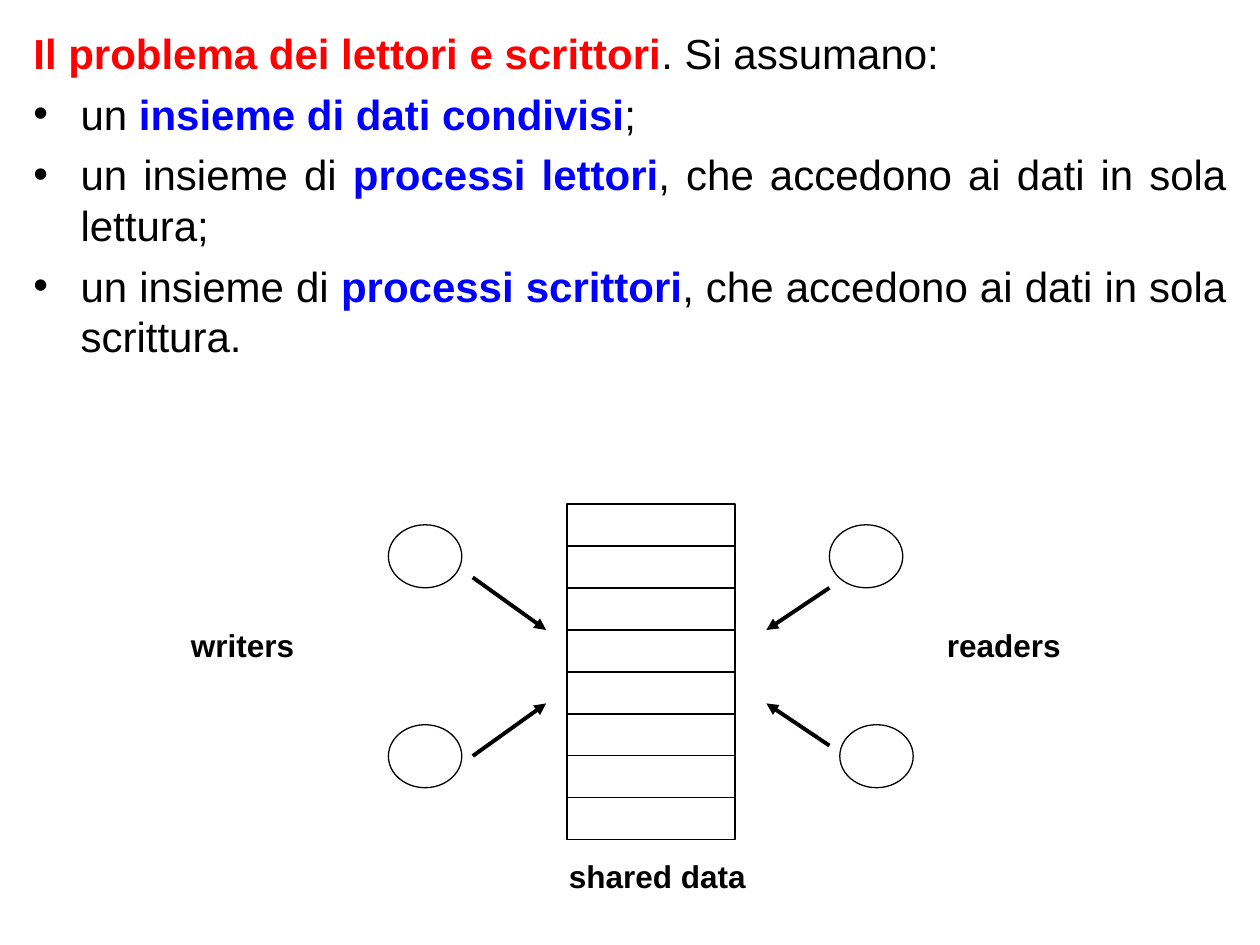
"""Builds the readers and writers problem slide."""
import pptx
import pptx.dml.color
import pptx.enum.shapes
import pptx.enum.text
import pptx.oxml.ns
import pptx.util
from lxml import etree

THEME = {
    "font": "Arial", "body_size": 24, "label_size": 18,
    "text": "000000", "title": "FF0000", "key": "0000FF",
    "fill": "FFFFFF", "line": "000000", "thin": 0.75, "thick": 2.25,
}

SLIDE_SIZE = (25.4, 19.05)
BODY_BOX = (0.42, 0.42, 24.56, 8.26)
BODY_INDENT = 0.95
HEADING = [("Il problema dei lettori e scrittori", "title"), (". Si assumano:", "text")]
ASSUMPTIONS = [
    [("un ", "text"), ("insieme di dati condivisi", "key"), (";", "text")],
    [("un insieme di ", "text"), ("processi lettori", "key"),
     (", che accedono ai dati in sola lettura;", "text")],
    [("un insieme di ", "text"), ("processi scrittori", "key"),
     (", che accedono ai dati in sola scrittura.", "text")],
]

SHARED_DATA = (11.43, 10.16, 3.39, 6.77)
SHARED_DATA_ROWS = 8
PROCESS_SIZE = (1.48, 1.27)
PROCESSES = [(7.83, 10.58), (7.83, 14.61), (16.93, 14.61), (16.72, 10.58)]
ACCESSES = [
    (9.53, 15.24, 11.01, 14.18), (9.53, 11.64, 11.01, 12.7),
    (16.72, 11.85, 15.45, 12.7), (16.72, 15.03, 15.45, 14.18),
]
LABELS = [
    ("readers", (18.84, 12.49, 2.9, 1.02)),
    ("writers", (3.6, 12.49, 2.7, 1.02)),
    ("shared data", (11.22, 17.15, 4.2, 1.02)),
]


def color(name):
    """Return a theme colour."""
    return pptx.dml.color.RGBColor.from_string(THEME[name])


def centimetres(values):
    """Return the values as lengths."""
    return [pptx.util.Cm(value) for value in values]


def add_element(parent, tag, **attributes):
    """Append a drawing element to its parent."""
    return etree.SubElement(parent, pptx.oxml.ns.qn(tag), attributes)


def add_text(paragraph, text, size="body_size", ink="text", bold=False):
    """Add a formatted run to a paragraph."""
    run = paragraph.add_run()
    run.text = text
    run.font.name = THEME["font"]
    run.font.size = pptx.util.Pt(THEME[size])
    run.font.bold = bold
    run.font.color.rgb = color(ink)


def set_bullet(paragraph, bullet):
    """Give a paragraph its hanging indent and its bullet, if any."""
    properties = paragraph._p.get_or_add_pPr()
    indent = pptx.util.Cm(BODY_INDENT)
    properties.set("marL", str(indent))
    properties.set("indent", str(-indent))
    if not bullet:
        add_element(properties, "a:buNone")
        return
    bullet_color = add_element(properties, "a:buClr")
    add_element(bullet_color, "a:srgbClr", val=THEME["text"])
    add_element(properties, "a:buFont", typeface=THEME["font"])
    add_element(properties, "a:buChar", char=bullet)


def fill_body(body):
    """Place the body and write the heading and the assumptions."""
    body.left, body.top, body.width, body.height = centimetres(BODY_BOX)
    frame = body.text_frame
    frame.auto_size = pptx.enum.text.MSO_AUTO_SIZE.NONE
    frame.vertical_anchor = pptx.enum.text.MSO_ANCHOR.TOP
    for index, parts in enumerate([HEADING] + ASSUMPTIONS):
        paragraph = frame.add_paragraph() if index else frame.paragraphs[0]
        paragraph.alignment = pptx.enum.text.PP_ALIGN.JUSTIFY
        paragraph.space_before = pptx.util.Pt(6)
        set_bullet(paragraph, "•" if index else None)
        for text, ink in parts:
            add_text(paragraph, text, ink=ink, bold=ink != "text")


def add_outline(slide, kind, box):
    """Add a white shape with a thin outline."""
    shape = slide.shapes.add_shape(kind, *centimetres(box))
    shape.shadow.inherit = False
    shape.fill.solid()
    shape.fill.fore_color.rgb = color("fill")
    shape.line.color.rgb = color("line")
    shape.line.width = pptx.util.Pt(THEME["thin"])


def add_line(slide, ends, weight="thin", arrow=False):
    """Add a straight line, with an arrowhead at its end if asked."""
    straight = pptx.enum.shapes.MSO_CONNECTOR.STRAIGHT
    connector = slide.shapes.add_connector(straight, *centimetres(ends))
    connector.line.color.rgb = color("line")
    connector.line.width = pptx.util.Pt(THEME[weight])
    if arrow:
        add_element(connector.line._get_or_add_ln(), "a:tailEnd", type="triangle")
    add_element(connector._element.spPr, "a:effectLst")


def add_label(slide, text, box):
    """Add a bold label on one line."""
    frame = slide.shapes.add_textbox(*centimetres(box)).text_frame
    frame.word_wrap = False
    frame.auto_size = pptx.enum.text.MSO_AUTO_SIZE.NONE
    add_text(frame.paragraphs[0], text, size="label_size", bold=True)


def main():
    """Build and save the presentation."""
    presentation = pptx.Presentation()
    presentation.slide_width, presentation.slide_height = centimetres(SLIDE_SIZE)
    slide = presentation.slides.add_slide(presentation.slide_layouts[1])
    title = slide.shapes.title._element
    title.getparent().remove(title)
    fill_body(slide.placeholders[1])

    shapes = pptx.enum.shapes.MSO_SHAPE
    add_outline(slide, shapes.RECTANGLE, SHARED_DATA)
    left, top, width, height = SHARED_DATA
    for row in range(1, SHARED_DATA_ROWS + 1):
        y = top + height * row / SHARED_DATA_ROWS
        add_line(slide, (left, y, left + width, y))
    for position in PROCESSES:
        add_outline(slide, shapes.OVAL, position + PROCESS_SIZE)
    for ends in ACCESSES:
        add_line(slide, ends, weight="thick", arrow=True)
    for text, box in LABELS:
        add_label(slide, text, box)
    presentation.save("out.pptx")


if __name__ == "__main__":
    main()
